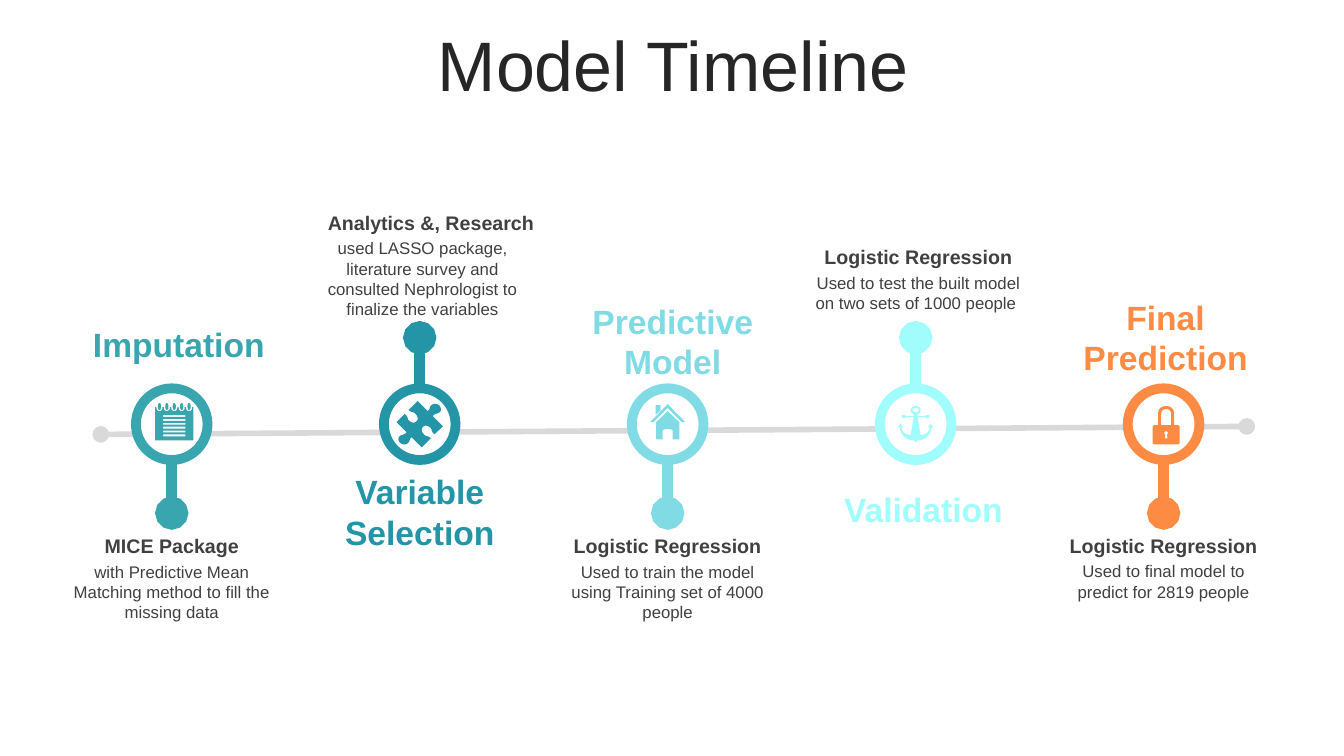
import math

import pptx
import pptx.dml.color
import pptx.enum.shapes
import pptx.enum.text
import pptx.oxml
import pptx.oxml.ns
import pptx.util

Pt = pptx.util.Pt
FONT = "Arial"
DARK = "404040"
AXIS_Y = 303
FIRST_X, STAGE_STEP = 122.7, 177.12
DETAIL_WIDTH = 165.6
ICON_UNIT = 0.72

# name, colour, heading shift and top, detail title, shift, top, detail text
STAGES = [
    ("Imputation", "39A5AE", 5, 227.5, "MICE Package", 0, 378,
     "with Predictive Mean Matching method to fill the missing data"),
    ("Variable\nSelection", "2395A6", 0, 332.6, "Analytics &, Research ", 10, 146.9,
     "used LASSO package, literature survey and consulted Nephrologist to finalize the variables"),
    ("Predictive\nModel", "80DBE4", 3.6, 211, "Logistic Regression", 0, 378,
     "Used to train the model using Training set of 4000 people"),
    ("Validation", "A0FDFB", 5.5, 345.5, "Logistic Regression", 2, 171.4,
     "Used to test the built model on two sets of 1000 people "),
    ("Final\nPrediction", "FE8B44", 1.4, 208, "Logistic Regression", 0, 377.6,
     "Used to final model to predict for 2819 people"),
]


def color(value):
    return pptx.dml.color.RGBColor.from_string(value)


def write_text(shape, text, size, fill, bold=False, anchor="TOP", spacing=None, before=0):
    frame = shape.text_frame
    frame.word_wrap = True
    frame.vertical_anchor = getattr(pptx.enum.text.MSO_ANCHOR, anchor)
    frame.text = text
    for para in frame.paragraphs:
        para.alignment = pptx.enum.text.PP_ALIGN.CENTER
        para.line_spacing = spacing
        para.space_before = Pt(before)
        for span in para.runs:
            span.font.name = FONT
            span.font.size = Pt(size)
            span.font.bold = bold
            span.font.color.rgb = color(fill)


def add_text(page, center_x, top, width, height, text, **style):
    box = page.shapes.add_textbox(Pt(center_x - width / 2), Pt(top), Pt(width), Pt(height))
    write_text(box, text, **style)
    box.text_frame.auto_size = pptx.enum.text.MSO_AUTO_SIZE.SHAPE_TO_FIT_TEXT


def add_dotted_line(page, start, end, fill, width):
    line = page.shapes.add_connector(
        pptx.enum.shapes.MSO_CONNECTOR.STRAIGHT, *(Pt(value) for value in start + end))
    line.line.color.rgb = color(fill)
    line.line.width = Pt(width)
    stroke = line.line._get_or_add_ln()
    for tag in ("a:headEnd", "a:tailEnd"):
        pptx.oxml.ns.qn(tag)
        mark = pptx.oxml.parse_xml(f'<{tag} {pptx.oxml.ns.nsdecls("a")} type="oval"/>')
        stroke.append(mark)
    line._element.spPr.append(
        pptx.oxml.parse_xml(f'<a:effectLst {pptx.oxml.ns.nsdecls("a")}/>'))


def add_ring(page, x, fill):
    radius = 25.6
    ring = page.shapes.add_shape(
        pptx.enum.shapes.MSO_SHAPE.OVAL, Pt(x - radius), Pt(AXIS_Y - radius),
        Pt(2 * radius), Pt(2 * radius))
    ring.shadow.inherit = False
    ring.fill.solid()
    ring.fill.fore_color.rgb = color("FFFFFF")
    ring.line.color.rgb = color(fill)
    ring.line.width = Pt(7)


def trace(steps, samples=8):
    points = []
    for step in steps:
        if len(step) == 2:
            points.append(step)
            continue
        curve = [points[-1], step[:2], step[2:4], step[4:]]
        for index in range(1, samples + 1):
            t = index / samples
            weights = ((1 - t) ** 3, 3 * t * (1 - t) ** 2, 3 * t * t * (1 - t), t ** 3)
            points.append(tuple(
                sum(weight * point[axis] for weight, point in zip(weights, curve))
                for axis in (0, 1)))
    return points


def mirrored(steps, axis=0):
    half = [(axis + x, y) for x, y in trace(steps)]
    return half + [(2 * axis - x, y) for x, y in reversed(half)]


def turned(steps):
    half = trace(steps)
    return half + [(-x, -y) for x, y in half]


def oval(x, y, radius_x, radius_y):
    angles = [math.tau * index / 24 for index in range(24)]
    return [(x + radius_x * math.cos(a), y + radius_y * math.sin(a)) for a in angles]


def rectangle(left, top, width, height):
    right, bottom = left + width, top + height
    return [(left, top), (right, top), (right, bottom), (left, bottom)]


def notepad():
    loops = [2.5 + 7.35 * index for index in range(-2, 3)]
    body = [(-16.5, -17)]
    for x in loops:
        body += [(x - 3, -17), (x - 3, -16), (x - 3, -12, x + 3, -12, x + 3, -16), (x + 3, -17)]
    body += [(21.5, -17), (21.5, 16), (-16.5, 16)]
    rules = [rectangle(-8.5, -9 + 3.85 * row, 22, 1.8) for row in range(6)]
    return [trace(body)] + rules + [oval(x, -17.5, 1.6, 3.5) for x in loops]


def puzzle():
    return [turned([
        (19, -19), (21, -17, 22, -14, 20, -12), (18, -10, 15, -11, 13, -8), (23, 2), (15, 10),
        (11, 8, 13, 5, 10, 3), (7, 1, 5, 1, 3, 3), (2, 4, 1, 7, 4, 10), (7, 13, 8, 11, 11, 14),
        (2, 23), (-8, 13), (-11, 15, -9, 17, -12, 19), (-14, 21, -17, 20, -19, 19)])]


def house():
    walls = mirrored([(0, -13), (11.5, -2), (11.5, 15), (5, 15), (5, 7), (5, 6, 4, 5, 2, 5)])
    roof = mirrored([(0, -20), (17.5, -2), (14, -2), (0, -16)])
    return [walls, [(-12, -19), (-7, -19), (-7, -14), (-12, -9)], roof]


def anchor():
    outline = mirrored([
        (0, -18), (3, -18, 5, -16, 5, -14), (5, -12, 4, -11, 2, -10), (2, -8), (10, -8),
        (10, -9, 11, -9, 11, -9), (13, -9, 14, -9, 14, -8), (14, -7, 13, -6, 11, -6),
        (11, -6, 10, -6, 10, -7), (2, -7), (5, 11), (10, 10, 14, 8, 14, 3), (12, 3),
        (13, 2, 15, 1, 15, -1), (15, 1, 17, 2, 18, 3), (16, 3), (15, 9, 11, 16, 2, 16),
        (1, 17, 1, 17, 0, 18)])
    return [outline, oval(0, -14, 3, 2.2)]


def padlock():
    axis = 2.5
    outline = mirrored([(0, -18), (5, -18, 8, -15, 8, -10), (8, 1), (11, 1),
                        (13, 1, 13.5, 2, 13.5, 3), (13.5, 18), (13.5, 19, 13, 20, 11, 20)], axis)
    gap = mirrored([(0, -15), (3, -15, 5, -13, 5, -10), (5, 1)], axis)
    keyhole = mirrored([(0, 7), (1, 7, 2, 8, 2, 9), (2, 9, 1.5, 10, 1, 10), (1.3, 14)], axis)
    return [outline, gap, keyhole]


def add_icon(page, x, contours, fill):
    placed = [[(Pt(x + ICON_UNIT * px), Pt(AXIS_Y + ICON_UNIT * py)) for px, py in contour]
              for contour in contours]
    builder = page.shapes.build_freeform(*placed[0][0])
    builder.add_line_segments(placed[0][1:])
    for contour in placed[1:]:
        builder.move_to(*contour[0])
        builder.add_line_segments(contour[1:])
    icon = builder.convert_to_shape()
    icon.shadow.inherit = False
    icon.fill.solid()
    icon.fill.fore_color.rgb = color(fill)
    icon.line.fill.background()


def add_stage(page, x, stage, contours):
    name, fill, name_shift, name_top, title, title_shift, detail_top, detail = stage
    below = detail_top > AXIS_Y
    start, end = (366.5, 305.3) if below else (241.2, 302.4)
    add_dotted_line(page, (x, start), (x, end), fill, 8)
    add_ring(page, x, fill)
    add_icon(page, x, contours, fill)
    height = 65.5 if "\n" in name else 36
    add_text(page, x + name_shift, name_top, 142.6, height, name,
             size=24, fill=fill, bold=True, anchor="MIDDLE")
    add_text(page, x + title_shift, detail_top, DETAIL_WIDTH, 24.5, title,
             size=14, fill=DARK, bold=True)
    add_text(page, x + (0 if below else 2), detail_top + 19.7, DETAIL_WIDTH, 36, detail,
             size=12, fill=DARK)


def main():
    deck = pptx.Presentation()
    deck.slide_width, deck.slide_height = Pt(960), Pt(540)
    page = deck.slides.add_slide(deck.slide_layouts[5])
    title = page.shapes.title
    title.left, title.top, title.width, title.height = Pt(25.2), Pt(22.3), Pt(911.5), Pt(56.9)
    write_text(title, "Model Timeline", size=50, fill="262626",
               anchor="MIDDLE", spacing=0.8, before=10)
    add_dotted_line(page, (72, 310.3), (890.6, 304.6), "D9D9D9", 4)
    icons = [notepad(), puzzle(), house(), anchor(), padlock()]
    for index, (stage, contours) in enumerate(zip(STAGES, icons)):
        add_stage(page, FIRST_X + STAGE_STEP * index, stage, contours)
    deck.save("out.pptx")


if __name__ == "__main__":
    main()
